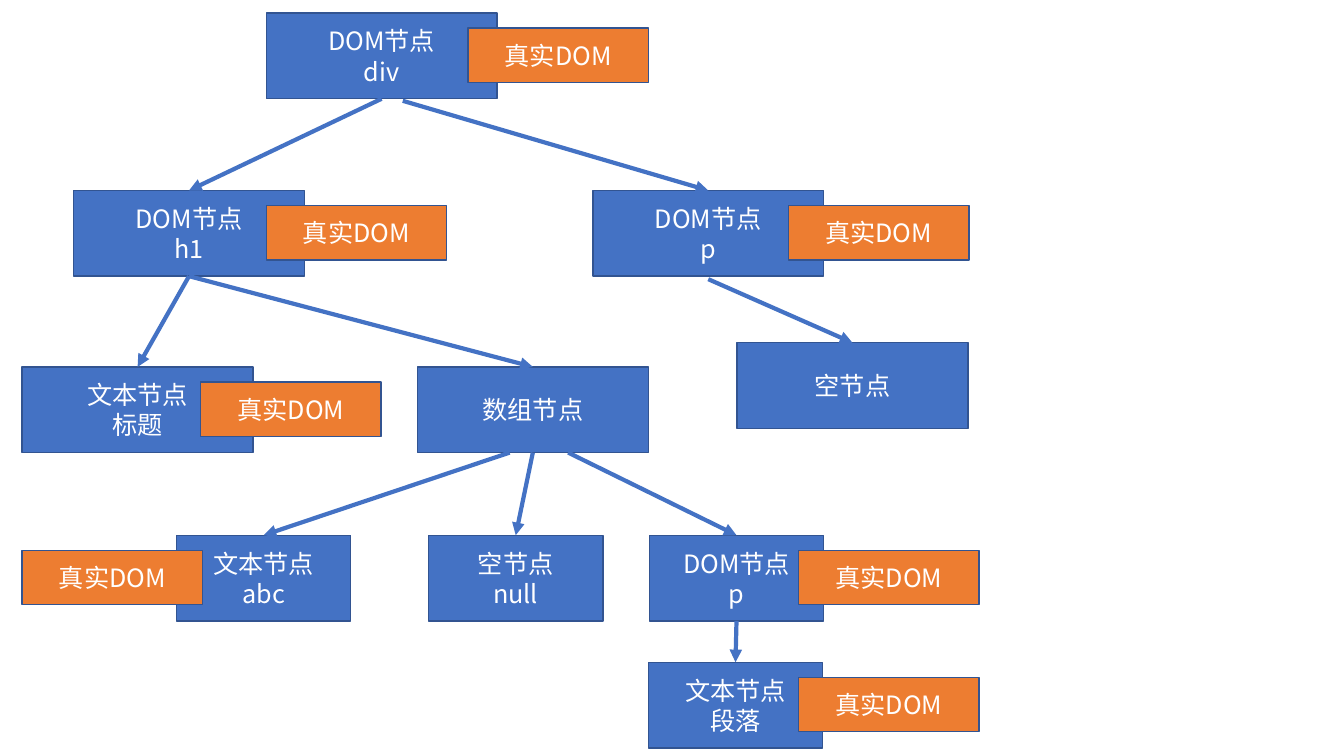
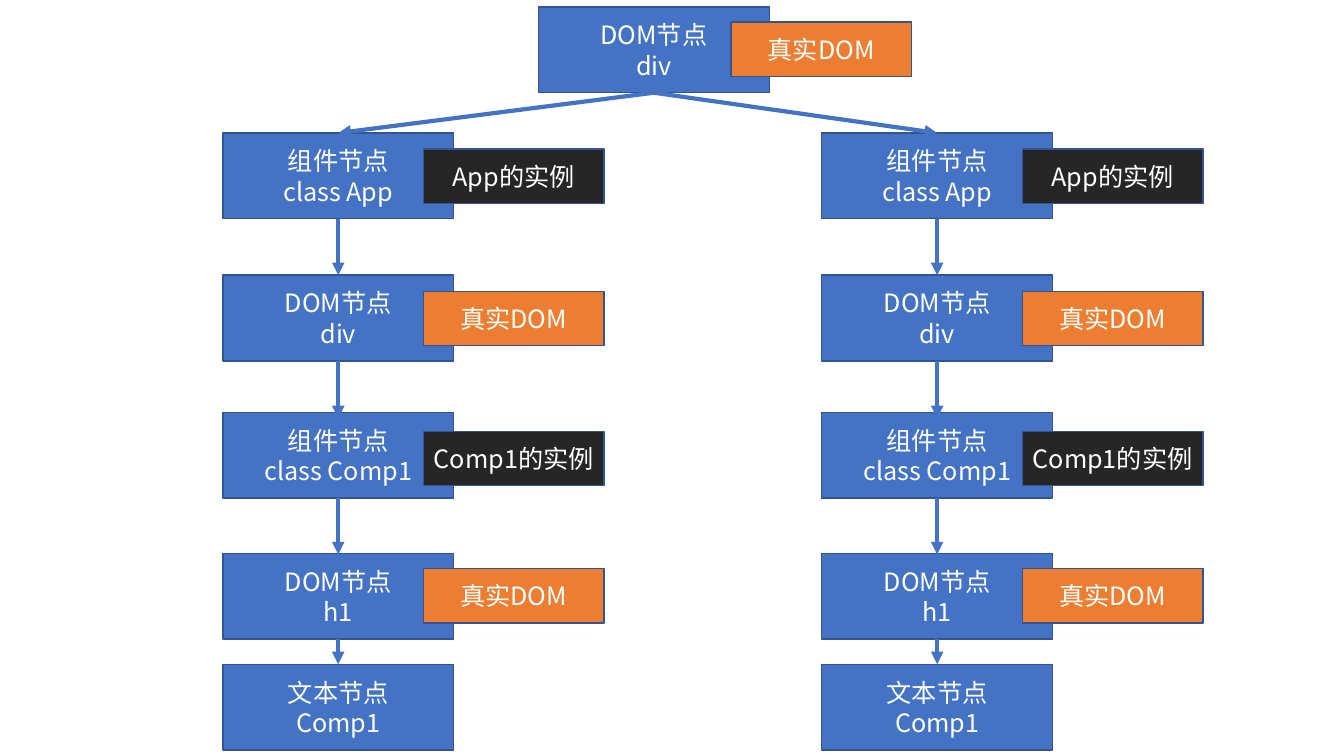
from lxml.etree import SubElement
from pptx import Presentation
from pptx.dml.color import RGBColor
from pptx.enum.shapes import MSO_CONNECTOR, MSO_SHAPE
from pptx.enum.text import MSO_ANCHOR, PP_ALIGN
from pptx.oxml.ns import qn
from pptx.util import Inches, Pt

# Shared look
COLORS = {"node": "4472C4", "real": "ED7D31", "instance": "262626",
          "border": "325491", "text": "FFFFFF"}
RGB = {name: RGBColor.from_string(value) for name, value in COLORS.items()}
FONT = "Noto Sans CJK SC"
FONT_FORMAT = {"name": FONT, "size": Pt(18)}
WIDE, NARROW, NODE_HEIGHT = 2.29, 1.73, 0.85
BADGE_WIDTH, BADGE_HEIGHT, BADGE_DROP = 1.79, 0.54, 0.15
REAL_DOM = "真实DOM"


def add_box(page, left, top, width, height, lines, color):
    box = page.shapes.add_shape(MSO_SHAPE.RECTANGLE, Inches(left), Inches(top),
                                Inches(width), Inches(height))
    box.shadow.inherit = False
    box.fill.solid()
    box.fill.fore_color.rgb = RGB[color]
    box.line.color.rgb = RGB["border"]
    box.line.width = Pt(1)
    frame = box.text_frame
    frame.word_wrap = True
    frame.vertical_anchor = MSO_ANCHOR.MIDDLE
    for index, line in enumerate(lines):
        para = frame.add_paragraph() if index else frame.paragraphs[0]
        para.alignment = PP_ALIGN.CENTER
        span = para.add_run()
        span.text = line
        for attribute, value in FONT_FORMAT.items():
            setattr(span.font, attribute, value)
        span.font.color.rgb = RGB["text"]
        SubElement(span.font._element, qn("a:ea"), typeface=FONT)


def add_arrow(page, start_x, start_y, end_x, end_y):
    arrow = page.shapes.add_connector(
        MSO_CONNECTOR.STRAIGHT, Inches(start_x), Inches(start_y),
        Inches(end_x), Inches(end_y))
    arrow.line.color.rgb = RGB["node"]
    arrow.line.width = Pt(3)
    SubElement(arrow.line._get_or_add_ln(), qn("a:tailEnd"), type="triangle")
    SubElement(arrow._element.spPr, qn("a:effectLst"))


deck = Presentation()
deck.slide_width, deck.slide_height = Inches(13.33), Inches(7.5)
blank = deck.slide_layouts[6]

# Slide 1: node tree; each node has left, top, width, lines, badge left
page = deck.slides.add_slide(blank)
nodes = {
    "root": (2.64, 0.13, WIDE, ["DOM节点", "div"], 4.64),
    "heading": (0.73, 1.89, WIDE, ["DOM节点", "h1"], 2.64),
    "paragraph": (5.88, 1.89, WIDE, ["DOM节点", "p"], 7.82),
    "title text": (0.22, 3.64, WIDE, ["文本节点", "标题"], 1.99),
    "array": (4.14, 3.64, WIDE, ["数组节点"], None),
    "empty": (7.31, 3.4, WIDE, ["空节点"], None),
    "abc text": (1.75, 5.31, NARROW, ["文本节点", "abc"], 0.22),
    "null": (4.25, 5.31, NARROW, ["空节点", "null"], None),
    "item": (6.44, 5.31, NARROW, ["DOM节点", "p"], 7.92),
    "item text": (6.43, 6.57, NARROW, ["文本节点", "段落"], 7.92),
}
for left, top, width, lines, badge_left in nodes.values():
    add_box(page, left, top, width, NODE_HEIGHT, lines, "node")
    if badge_left is not None:
        add_box(page, badge_left, top + BADGE_DROP, BADGE_WIDTH, BADGE_HEIGHT,
                [REAL_DOM], "real")

# Arrows run from bottom centre to top centre, with a shift of the start
for parent, child, shift_x, shift_y in [
        ("root", "heading", 0, 0), ("root", "paragraph", 0.21, 0.02),
        ("heading", "title text", 0, 0), ("heading", "array", 0, 0),
        ("paragraph", "empty", 0, 0.03),
        ("array", "abc text", -0.23, 0), ("array", "null", 0, 0),
        ("array", "item", 0.35, 0), ("item", "item text", 0, 0)]:
    left, top, width = nodes[parent][:3]
    child_left, child_top, child_width = nodes[child][:3]
    add_arrow(page, left + width / 2 + shift_x, top + NODE_HEIGHT + shift_y,
              child_left + child_width / 2, child_top)

# Slide 2: one root above two equal component chains
page = deck.slides.add_slide(blank)
root_left, root_top = 5.34, 0.07
add_box(page, root_left, root_top, WIDE, NODE_HEIGHT, ["DOM节点", "div"], "node")
add_box(page, 7.25, root_top + BADGE_DROP, BADGE_WIDTH, BADGE_HEIGHT,
        [REAL_DOM], "real")

# Each step has top, lines, badge text, badge colour, badge drop, arrow end
chain = [
    (1.32, ["组件节点", "class App"], "App的实例", "instance", 0.16, 1.32),
    (2.73, ["DOM节点", "div"], REAL_DOM, "real", 0.16, 2.73),
    (4.09, ["组件节点", "class Comp1"], "Comp1的实例", "instance", 0.19, 4.15),
    (5.49, ["DOM节点", "h1"], REAL_DOM, "real", 0.15, 5.5),
    (6.59, ["文本节点", "Comp1"], None, None, 0, 6.59),
]
for left in (2.21, 8.15):
    center = left + WIDE / 2
    start_x, start_y = root_left + WIDE / 2, root_top + NODE_HEIGHT
    for top, lines, badge, color, drop, arrow_end in chain:
        add_box(page, left, top, WIDE, NODE_HEIGHT, lines, "node")
        if badge:
            add_box(page, left + 1.99, top + drop, BADGE_WIDTH, BADGE_HEIGHT,
                    [badge], color)
        add_arrow(page, start_x, start_y, center, arrow_end)
        start_x, start_y = center, top + NODE_HEIGHT

deck.save("out.pptx")
